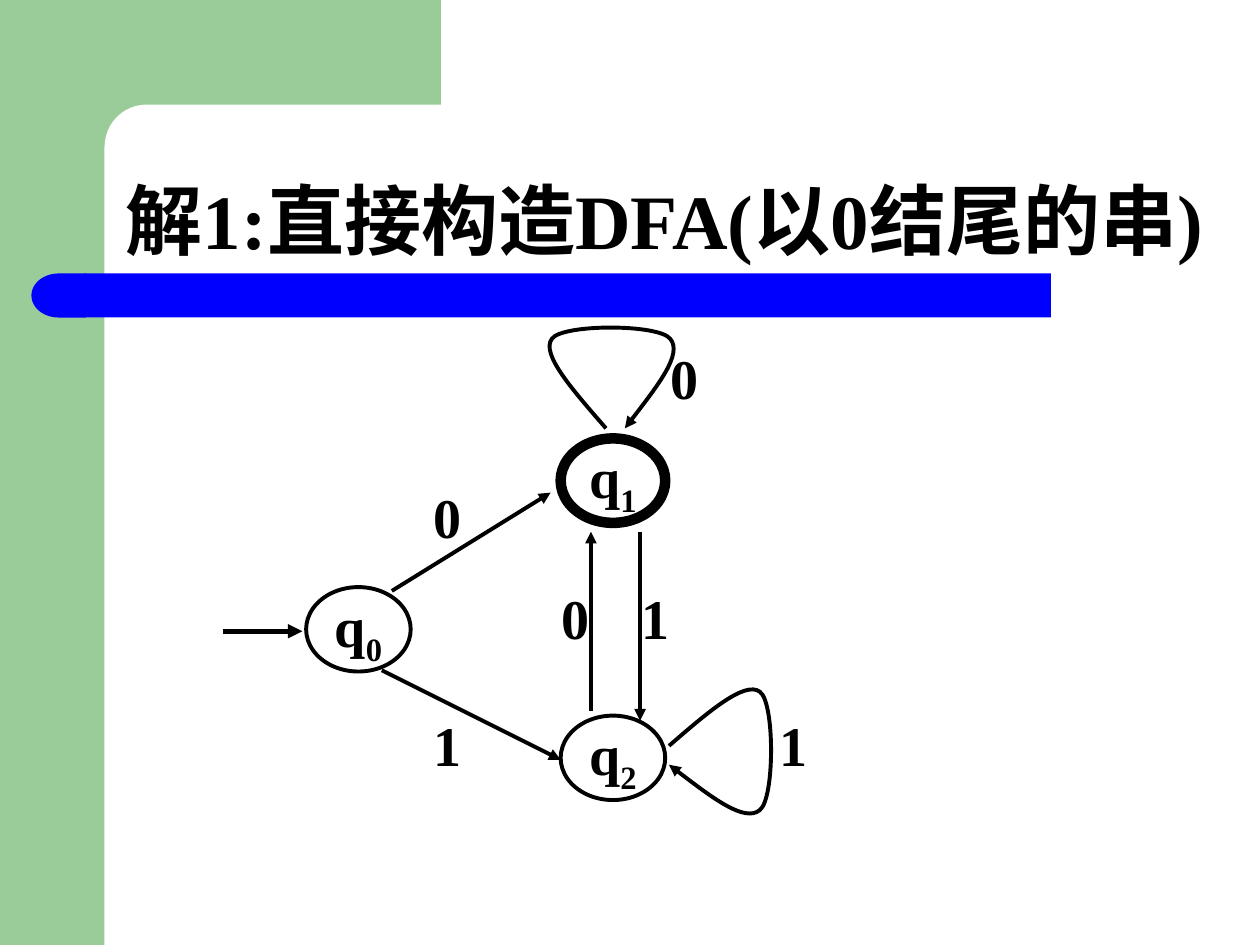
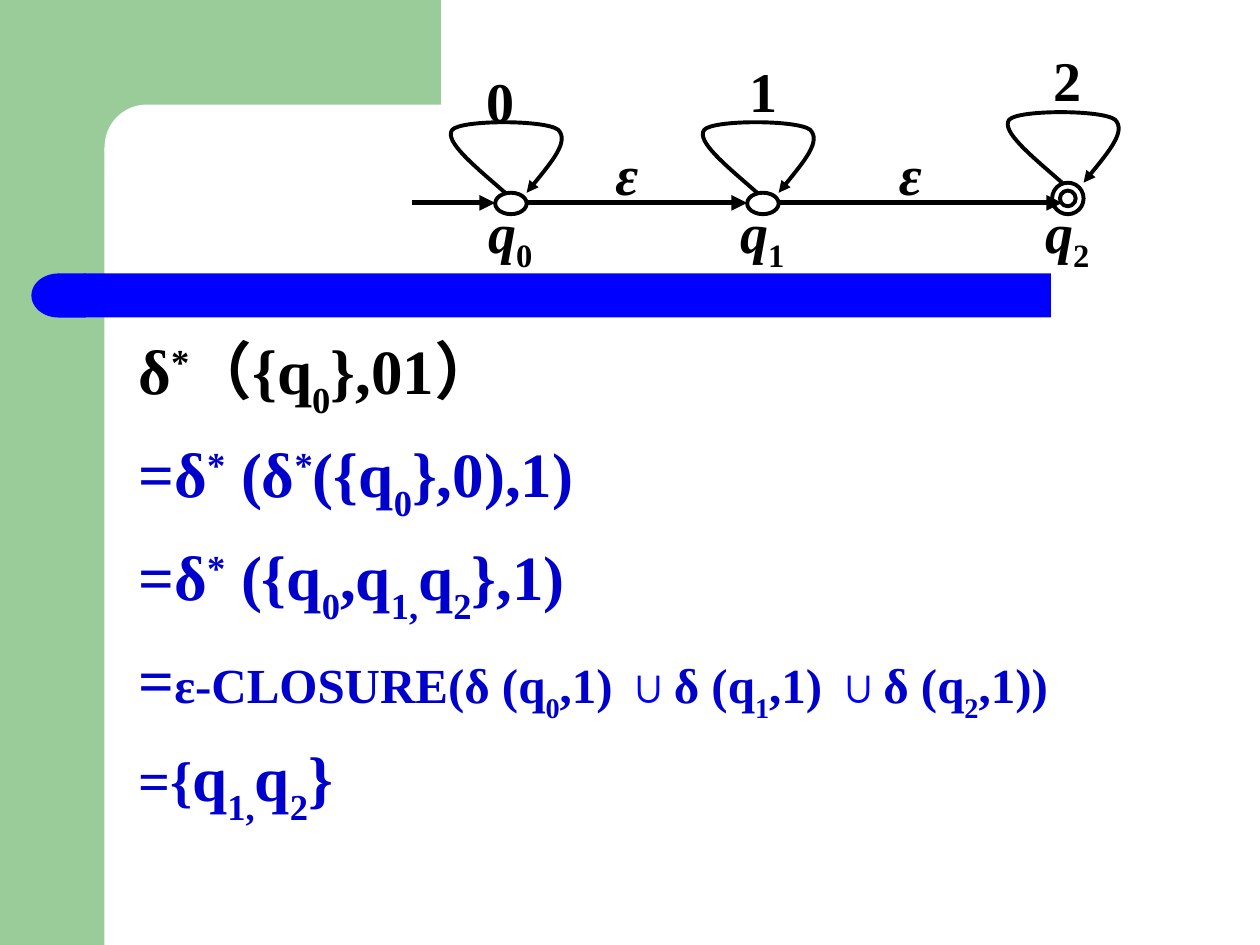
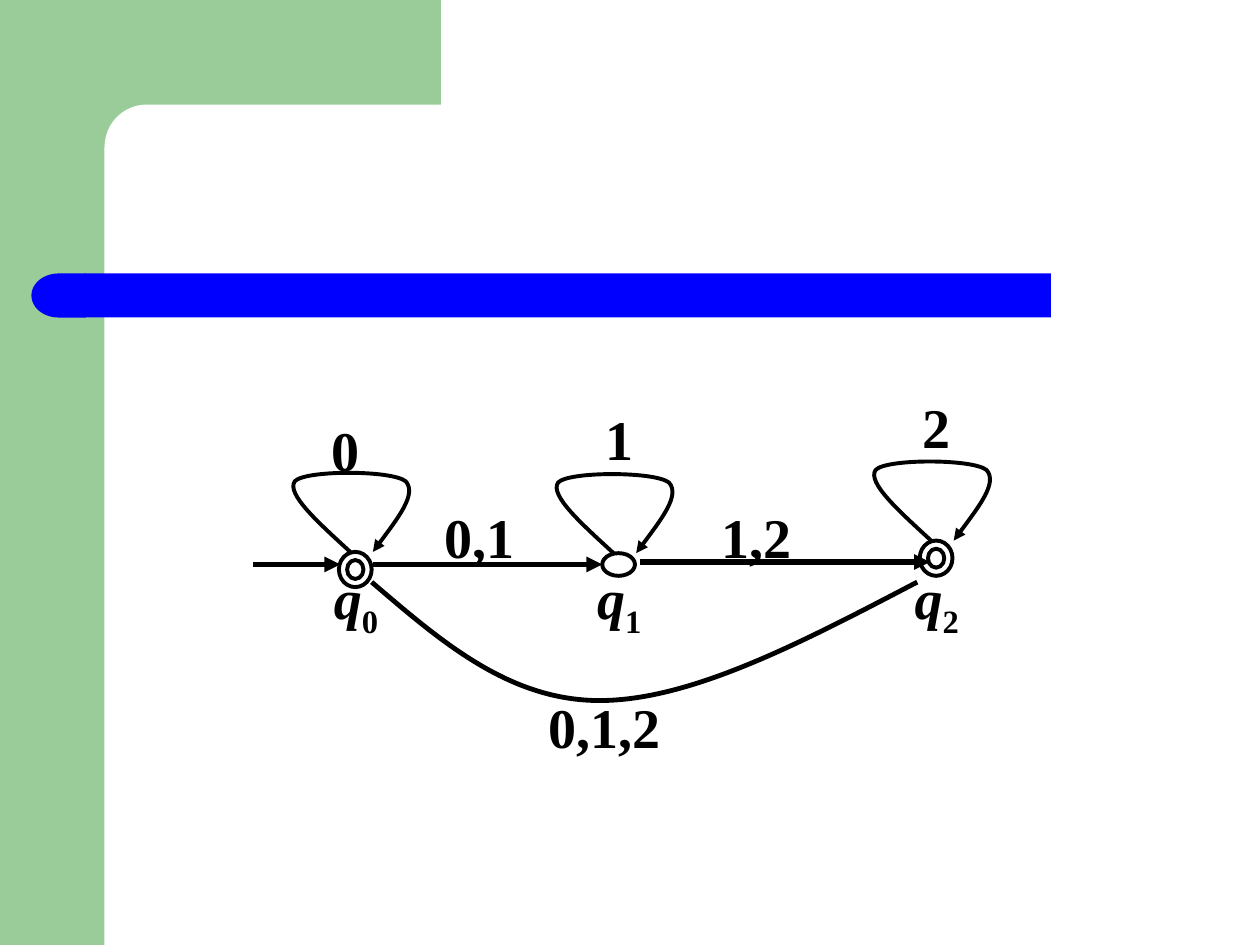
from typing import NamedTuple

from pptx import Presentation
from pptx.dml.color import RGBColor
from pptx.enum.shapes import MSO_CONNECTOR, MSO_SHAPE
from pptx.enum.text import MSO_ANCHOR, MSO_AUTO_SIZE, PP_ALIGN
from pptx.oxml.xmlchemy import OxmlElement
from pptx.util import Pt

PX = 9144  # EMU per px, 100 px to the inch
FONT = "Times New Roman"
BLACK = RGBColor(0, 0, 0)
WHITE = RGBColor(255, 255, 255)
GREEN = RGBColor(0x99, 0xCC, 0x99)
BLUE = RGBColor(0, 0, 255)
NAVY = RGBColor(0, 0, 0xCC)

RECT = MSO_SHAPE.RECTANGLE
ROUND = MSO_SHAPE.ROUNDED_RECTANGLE
DELAY = MSO_SHAPE.FLOWCHART_DELAY
OVAL = MSO_SHAPE.OVAL
RING = MSO_SHAPE.DONUT
STRAIGHT = MSO_CONNECTOR.STRAIGHT
CENTER, JUSTIFY = PP_ALIGN.CENTER, PP_ALIGN.JUSTIFY
MIDDLE, BOTTOM = MSO_ANCHOR.MIDDLE, MSO_ANCHOR.BOTTOM
FIT = MSO_AUTO_SIZE.SHAPE_TO_FIT_TEXT

# Loop outline in percent of its box: along the state, then away from it
ACROSS = (49, 25, 0, 7, 14, 81, 91, 100, 83, 66)
ROUNDER = (46, 23, 0, 8, 15, 83, 91, 100, 80, 59)
DEPTH = (100, 64, 29, 14, 0, 0, 14, 29, 64, 100)


class Box(NamedTuple):
    x: int
    y: int
    w: int
    h: int


class Part(NamedTuple):
    """Text in pieces split by |, where ^ raises a piece and _ lowers it."""
    text: str
    size: int = 36
    color: RGBColor = NAVY


class Label(NamedTuple):
    x: int
    y: int
    w: int
    text: str
    slant: bool = False


class Edge(NamedTuple):
    x1: int
    y1: int
    x2: int
    y2: int
    width: float = 2.25


class State(NamedTuple):
    box: Box
    name: str
    width: float = 2.25
    kind: MSO_SHAPE = OVAL


def place(shapes, kind, box: Box):
    shape = shapes.add_shape(kind, *(n * PX for n in box))
    shape.shadow.inherit = False
    return shape


def ink(shape, width: float) -> None:
    shape.line.color.rgb = BLACK
    shape.line.width = Pt(width)


def tip(shape) -> None:
    """Put an arrowhead at the end of a line."""
    end = OxmlElement("a:tailEnd")
    end.set("type", "triangle")
    shape.line._get_or_add_ln().append(end)


def write(para, part: Part, shift: int = 25, slant: bool = False) -> None:
    for piece in part.text.split("|"):
        sign = {"^": 1, "_": -1}.get(piece[0], 0)
        run = para.add_run()
        run.text = piece[1:] if sign else piece
        font = run.font
        font.name, font.size, font.bold = FONT, Pt(part.size), True
        font.italic = slant and not sign
        font.color.rgb = part.color
        if sign:
            font._element.set("baseline", str(sign * shift * 1000))


def text_box(shapes, box: Box):
    frame = shapes.add_textbox(*(n * PX for n in box)).text_frame
    frame.word_wrap = True
    return frame


def add_label(shapes, label: Label) -> None:
    frame = text_box(shapes, Box(label.x, label.y, label.w, 53))
    frame.auto_size = FIT
    frame.vertical_anchor = MIDDLE
    frame.margin_left = frame.margin_right = 0
    frame.margin_top = frame.margin_bottom = 0
    para = frame.paragraphs[0]
    para.alignment = CENTER
    write(para, Part(label.text, 32, BLACK), slant=label.slant)


def add_edge(shapes, edge: Edge) -> None:
    ends = (n * PX for n in edge[:4])
    line = shapes.add_connector(STRAIGHT, *ends)
    ink(line, edge.width)
    tip(line)
    line._element.spPr.append(OxmlElement("a:effectLst"))


def add_curve(shapes, points: list, width: float):
    """Draw cubic curves: a start, then three points for each curve."""
    pen = shapes.build_freeform(*points[0], scale=PX)
    pen.add_line_segments(points[1:], close=False)
    shape = pen.convert_to_shape()
    shape.shadow.inherit = False
    shape.fill.background()
    ink(shape, width)
    legs = shape._element.xpath(".//a:lnTo")
    for i in range(0, len(legs), 3):
        bend = OxmlElement("a:cubicBezTo")
        legs[i].addprevious(bend)
        for leg in legs[i:i + 3]:
            bend.append(leg[0])
            leg.getparent().remove(leg)
    return shape


def add_loop(shapes, box: Box, along: tuple = ACROSS, right: bool = False) -> None:
    """Draw an arrow back to its own state, above it or to its right."""
    pairs = zip(along, DEPTH)
    if right:
        pairs = ((100 - v, u) for u, v in pairs)
    points = [(round(box.x + u * box.w / 100), round(box.y + v * box.h / 100))
              for u, v in pairs]
    tip(add_curve(shapes, points, 2.25))


def add_state(shapes, state: State):
    shape = place(shapes, state.kind, state.box)
    shape.fill.background()
    ink(shape, state.width)
    return shape


def add_chain(shapes, states: list, size: tuple, name_y: int, name_w: int) -> None:
    """Draw states with a loop above and a name below each."""
    w, h = size
    for state in states:
        add_state(shapes, state)
        box = state.box
        mid = box.x + box.w // 2
        add_loop(shapes, Box(mid - w // 2 - 3, box.y - h, w, h))
        add_label(shapes, Label(mid - name_w // 2, name_y, name_w, state.name, True))


def new_slide(deck):
    slide = deck.slides.add_slide(deck.slide_layouts[6])
    side = slide.shapes.add_group_shape().shapes
    for box in (Box(0, 0, 83, 750), Box(75, 0, 275, 117)):
        paint(place(side, RECT, box), GREEN)
    corner = place(slide.shapes, ROUND, Box(83, 83, 558, 67))
    corner.adjustments[0] = 0.5
    paint(corner, WHITE)
    band = slide.shapes.add_group_shape().shapes
    paint(place(band, RECT, Box(67, 217, 767, 35)), BLUE)
    cap = place(band, DELAY, Box(25, 217, 43, 35))
    cap._element.spPr.xfrm.set("flipH", "1")
    paint(cap, BLUE)
    return slide.shapes


def paint(shape, color: RGBColor) -> None:
    shape.fill.solid()
    shape.fill.fore_color.rgb = color
    shape.line.fill.background()


def dfa_slide(deck) -> None:
    shapes = new_slide(deck)
    frame = text_box(shapes, Box(90, 91, 875, 125))
    frame.vertical_anchor = BOTTOM
    para = frame.paragraphs[0]
    para.line_spacing = 0.9
    write(para, Part("解1:直接构造DFA(以0结尾的串)", 44, BLACK))

    for state in (State(Box(445, 568, 83, 67), "q|_2"),
                  State(Box(445, 348, 83, 67), "q|_1", 6),
                  State(Box(243, 466, 83, 67), "q|_0")):
        frame = add_state(shapes, state).text_frame
        frame.word_wrap = False
        frame.vertical_anchor = MIDDLE
        para = frame.paragraphs[0]
        para.alignment = CENTER
        write(para, Part(state.name, 32, BLACK))

    for edge in (Edge(177, 501, 240, 501, 2.75), Edge(311, 469, 437, 391),
                 Edge(303, 532, 445, 603), Edge(469, 564, 469, 422),
                 Edge(508, 422, 508, 572)):
        add_edge(shapes, edge)
    add_loop(shapes, Box(429, 257, 113, 83), ROUNDER)
    add_loop(shapes, Box(531, 540, 84, 113), ROUNDER, right=True)
    for x, y, text in ((343, 383, "0"), (531, 273, "0"), (343, 564, "1"),
                       (444, 463, "0"), (508, 463, "1"), (617, 564, "1")):
        add_label(shapes, Label(x, y, 25, text))


STEPS = (
    [Part("δ|^*|（{q|_0|},01）", color=BLACK)],
    [Part("=δ|^*| (δ|^*|({q|_0|},0),1)")],
    [Part("=δ|^*| ({q|_0|,q|_1,|q|_2|},1)")],
    [Part("="), Part("ε-CLOSURE(δ (q|_0|,1) ", 28), Part("∪", 28, BLUE),
     Part("δ (q|_1|,1) ", 28), Part("∪", 28, BLUE), Part("δ (q|_2|,1))", 28)],
    [Part("={", 32), Part("q|_1,|q|_2|}")],
)


def closure_slide(deck) -> None:
    shapes = new_slide(deck)
    frame = text_box(shapes, Box(100, 258, 875, 408))
    for i, step in enumerate(STEPS):
        para = frame.add_paragraph() if i else frame.paragraphs[0]
        para.alignment = JUSTIFY
        if i:
            para.space_before = Pt(8)
        props = para._p.get_or_add_pPr()
        props.set("marL", str(38 * PX))
        props.set("indent", str(-38 * PX))
        for part in step:
            write(para, part, 30)

    graph = shapes.add_group_shape().shapes
    states = [State(Box(393, 153, 25, 17), "q|_0"),
              State(Box(593, 153, 25, 17), "q|_1"),
              State(Box(835, 145, 25, 25), "q|_2", kind=RING)]
    add_chain(graph, states, (100, 58), 161, 58)
    for x1, x2 in ((327, 393), (418, 593), (618, 843)):
        add_edge(graph, Edge(x1, 161, x2, 161, 3))
    for label in (Label(485, 111, 25, "ε", True), Label(710, 111, 25, "ε", True),
                  Label(385, 53, 25, "0"), Label(577, 45, 58, "1"),
                  Label(818, 36, 58, "2")):
        add_label(graph, label)


def nfa_slide(deck) -> None:
    shapes = new_slide(deck)
    states = [State(Box(269, 438, 26, 28), "q|_0", kind=RING),
              State(Box(478, 439, 26, 18), "q|_1"),
              State(Box(730, 429, 26, 28), "q|_2", kind=RING)]
    add_chain(shapes, states, (104, 65), 451, 61)
    for x1, x2, y in ((201, 270, 448), (296, 478, 448), (508, 738, 446)):
        add_edge(shapes, Edge(x1, y, x2, y, 3))
    bowl = [(295, 462), (350, 509), (404, 556), (476, 556),
            (549, 556), (638, 509), (728, 462)]
    add_curve(shapes, bowl, 2.75)
    for label in (Label(261, 330, 26, "0"), Label(461, 321, 61, "1"),
                  Label(713, 312, 61, "2"), Label(348, 399, 65, "0,1"),
                  Label(568, 399, 65, "1,2"), Label(427, 550, 105, "0,1,2")):
        add_label(shapes, label)


def main() -> None:
    deck = Presentation()
    deck.slide_width, deck.slide_height = 1000 * PX, 750 * PX
    dfa_slide(deck)
    closure_slide(deck)
    nfa_slide(deck)
    deck.save("out.pptx")


if __name__ == "__main__":
    main()
